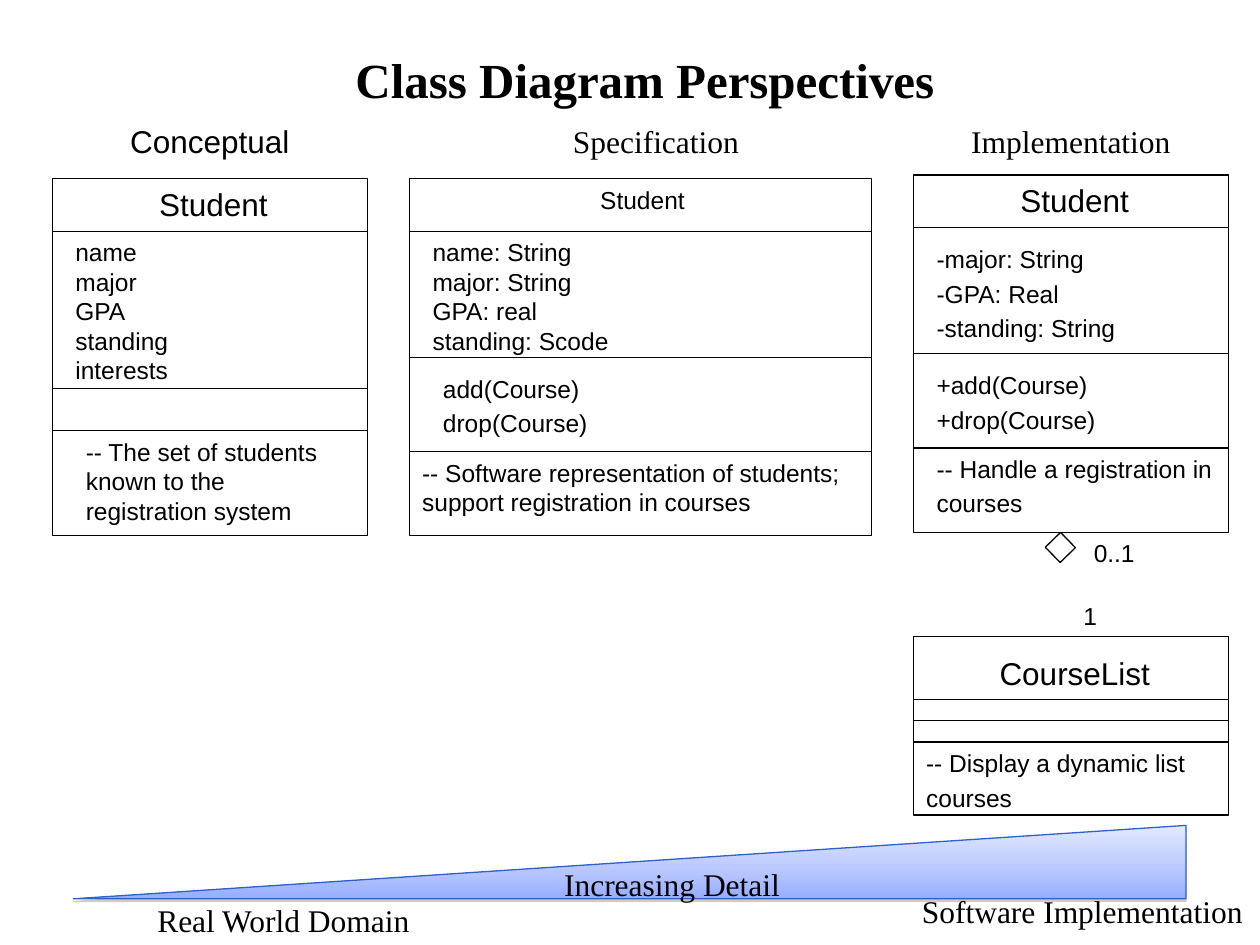
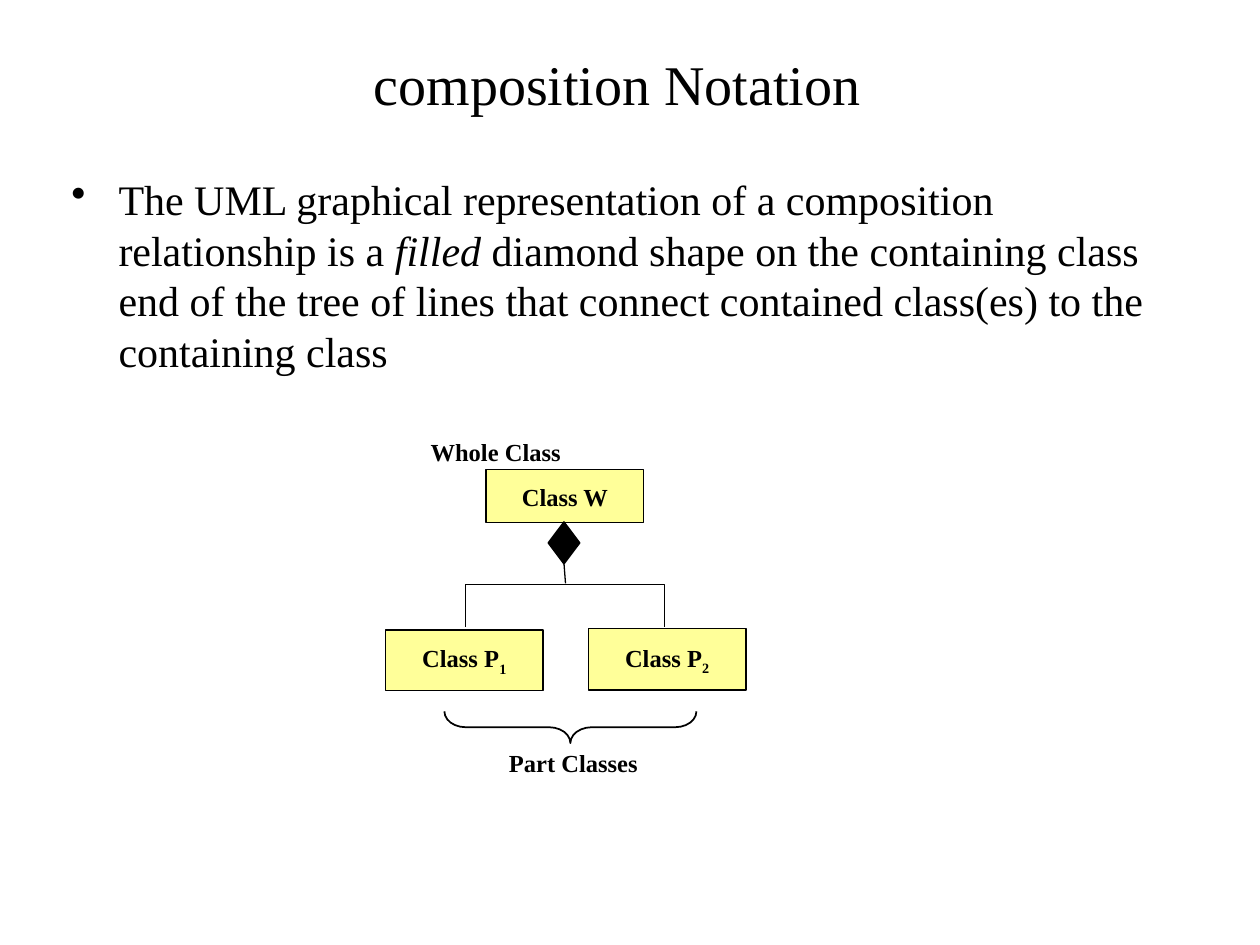
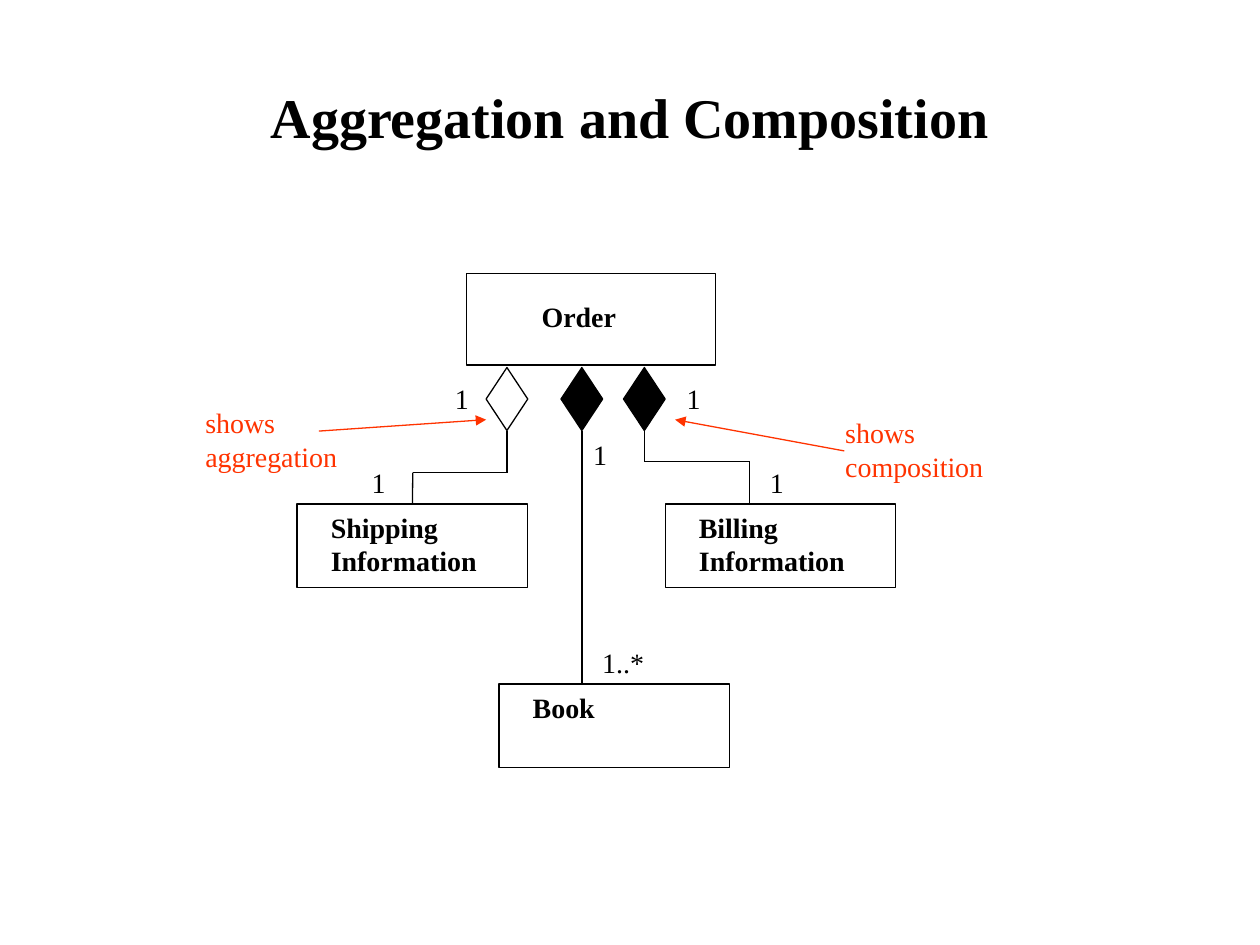
from dataclasses import dataclass
from itertools import pairwise

from lxml import etree
from pptx import Presentation
from pptx.dml.color import RGBColor as RGB
from pptx.enum.shapes import MSO_CONNECTOR as CONN, MSO_SHAPE as SHAPE
from pptx.enum.text import MSO_ANCHOR as ANCHOR, MSO_AUTO_SIZE as AUTO, PP_ALIGN as ALIGN
from pptx.oxml import parse_xml
from pptx.oxml.ns import nsdecls, qn
from pptx.util import Cm, Pt


@dataclass(frozen=True)
class Theme:
    serif: str = "Times New Roman"
    sans: str = "Arial"
    black: str = "000000"
    white: str = "FFFFFF"
    yellow: str = "FFFF99"
    red: str = "FF3300"
    wedge_line: str = "2E62CB"
    wedge_stops: tuple = ((0, "E1E8FF"), (65, "B6C5FF"), (100, "95ADFF"))
    shadow: str = "808080"
    title: int = 32
    body: int = 24
    heading: int = 18
    label: int = 16
    small: int = 14
    hairline: float = 0.75


T = Theme()
LOOSE = 2.8  # points between spaced lines in a class card

# ---- Content; all places are in centimetres ----

# Card: left, top, width, compartment heights, then texts as
# (compartment, dx, dy, width, size, space before, lines)
CARDS = [
    (1.06, 3.6, 6.35, (1.06, 3.17, 0.85, 2.12), [
        (0, 1.9, 0, 2.8, T.heading, 0, ["Student"]),
        (1, 0.21, 0, 2.48, T.small, 0, ["name", "major", "GPA", "standing", "interests"]),
        (3, 0.42, 0, 5.71, T.small, 0,
         ["-- The set of students known to the registration system"]),
    ]),
    (8.26, 3.6, 9.31, (1.06, 2.54, 1.9, 1.7), [
        (0, 3.59, 0, 3.39, T.small, 0, ["Student"]),
        (1, 0.21, 0, 4.67, T.small, 0,
         ["name: String", "major: String", "GPA: real", "standing: Scode"]),
        (2, 0.42, 0.21, 3.93, T.small, LOOSE, ["add(Course)", "drop(Course)"]),
        (3, 0, 0, 9.31, T.small, 0,
         ["-- Software representation of students; support registration in courses"]),
    ]),
    (18.42, 3.53, 6.35, (1.06, 2.54, 1.9, 1.7), [
        (0, 1.9, 0, 2.8, T.heading, 0, ["Student"]),
        (1, 0.21, 0.21, 4.24, T.small, LOOSE,
         ["-major: String", "-GPA: Real", "-standing: String"]),
        (2, 0.21, 0.21, 3.83, T.small, LOOSE, ["+add(Course)", "+drop(Course)"]),
        (3, 0.21, 0, 6.2, T.small, LOOSE, ["-- Handle a registration in", "courses"]),
    ]),
    (18.42, 12.83, 6.35, (1.27, 0.43, 0.43, 1.47), [
        (0, 1.48, 0.23, 3.65, T.heading, 0, ["CourseList"]),
        (3, 0, 0, 5.87, T.small, LOOSE, ["-- Display a dynamic list", "courses"]),
    ]),
]
CAPTIONS = [
    ("Specification", T.serif, 10.58, 2.33, 5.29, 1.27),
    ("Implementation", T.serif, 18.63, 2.33, 5.92, 1.27),
    ("Conceptual", T.sans, 1.27, 2.33, 5.92, 1.27),
    ("Increasing Detail", T.serif, 8.47, 17.32, 10.16, 0.79),
    ("Real World Domain", T.serif, 1.27, 18.03, 8.89, 0.89),
    ("Software Implementation", T.serif, 18.24, 17.86, 7.16, 1.1),
]
CARD_COUNTS = [("1", 21.59, 11.99, 0.89), ("0..1", 21.8, 10.72, 1.45)]

DEFINITION = [
    ("The UML graphical representation of a composition relationship is a ", False),
    ("filled", True),
    (" diamond shape on the containing class end of the tree of lines that connect "
     "contained class(es) to the containing class", False),
]
TREE_CLASSES = [  # name, subscript, top-left, height
    ("Class W", "", 9.8, 9.47, 1.07),
    ("Class P", "1", 7.77, 12.7, 1.22),
    ("Class P", "2", 11.86, 12.67, 1.24),
]
TREE_LABELS = [("Whole Class", 8.43, 8.69, 3.22), ("Part Classes", 10.01, 14.96, 3.2)]
BRACKET = [(9.38, 12.64), (9.38, 11.79), (13.4, 11.79), (13.4, 12.64)]

ORDER_CLASSES = [  # lines, left, top, width, height, text dx, text dy
    (["Order"], 9.4, 5.51, 5.03, 1.85, 1.27, 0.41),
    (["Billing", "Information"], 13.41, 10.16, 4.65, 1.69, 0.43, 0),
    (["Shipping", "Information"], 5.99, 10.16, 4.65, 1.69, 0.43, 0),
    (["Book"], 10.06, 13.79, 4.65, 1.69, 0.43, 0),
]
RELATIONS = [  # diamond fill, route from the diamond, class joined at its top middle
    (T.white, [(10.22, 8.68), (10.22, 9.53), (8.32, 9.53), (8.32, 10.16)], "Shipping"),
    (T.black, [(12.99, 8.68), (12.99, 9.31), (15.11, 9.31), (15.11, 10.16)], None),
    (T.black, [(11.73, 8.68), (11.73, 13.76)], None),
]
ORDER_COUNTS = [
    ("1", 8.92, 7.57), ("1", 7.24, 9.27), ("1", 13.59, 7.57),
    ("1", 15.27, 9.27), ("1", 11.71, 8.69), ("1..*", 11.89, 12.88),
]
REMARKS = [  # lines, left, top, width, arrow start, arrow end
    (["shows", "aggregation"], 3.89, 8.05, 3.28, (6.43, 8.69), (9.8, 8.46)),
    (["shows", "composition"], 16.79, 8.26, 3.4, (17.02, 9.09), (13.61, 8.46)),
]


# ---- Helpers ----

def style(p, size, font=T.serif, color=T.black, bold=False):
    p.font.size, p.font.name, p.font.bold = Pt(size), font, bold
    p.font.color.rgb = RGB.from_string(color)


def add_text(s, lines, x, y, w, h=None, size=T.label, font=T.serif, color=T.black,
             bold=False, gap=0, align=ALIGN.LEFT, anchor=ANCHOR.TOP):
    """Place lines in a box; without a height the box fits its text."""
    fitted = h or 0.25 + len(lines) * size * 0.043
    sp = s.shapes.add_textbox(Cm(x), Cm(y), Cm(w), Cm(fitted))
    tf = sp.text_frame
    tf.word_wrap = True
    tf.auto_size = AUTO.NONE if h else AUTO.SHAPE_TO_FIT_TEXT
    tf.vertical_anchor = anchor
    for i, line in enumerate(lines):
        p = tf.paragraphs[0] if i == 0 else tf.add_paragraph()
        p.add_run().text = line
        p.alignment = align
        if i and gap:
            p.space_before = Pt(gap)
        style(p, size, font, color, bold)
    return sp


def add_title(s, text, x, y, w, h, size=T.title, bold=True):
    add_text(s, [text], x, y, w, h, size, bold=bold, align=ALIGN.CENTER, anchor=ANCHOR.MIDDLE)


def outline(sp, fill=None, line=T.black, width=T.hairline):
    sp.shadow.inherit = False
    if fill:
        sp.fill.solid()
        sp.fill.fore_color.rgb = RGB.from_string(fill)
    else:
        sp.fill.background()
    sp.line.color.rgb = RGB.from_string(line)
    sp.line.width = Pt(width)
    return sp


def add_shape(s, kind, x, y, w, h, fill=None, **line):
    return outline(s.shapes.add_shape(kind, Cm(x), Cm(y), Cm(w), Cm(h)), fill, **line)


def add_line(s, start, end, color=T.black, arrow=False):
    c = s.shapes.add_connector(CONN.STRAIGHT, *(Cm(v) for v in (*start, *end)))
    c.line.color.rgb = RGB.from_string(color)
    c.line.width = Pt(T.hairline)
    if arrow:
        etree.SubElement(c.line._get_or_add_ln(), qn("a:tailEnd"), type="triangle")
    etree.SubElement(c._element.spPr, qn("a:effectLst"))
    return c


def add_card(s, x, y, w, heights, texts):
    add_shape(s, SHAPE.RECTANGLE, x, y, w, sum(heights), T.white)
    tops = [y + sum(heights[:i]) for i in range(len(heights))]
    for top in tops[1:]:
        add_line(s, (x, top), (x + w, top))
    for part, dx, dy, width, size, gap, lines in texts:
        add_text(s, lines, x + dx, tops[part] + dy, width, size=size, font=T.sans, gap=gap)


def add_wedge(s, x, y, w, h):
    """Right triangle rising to the right, with gradient and soft shadow."""
    sp = add_shape(s, SHAPE.RIGHT_TRIANGLE, x, y, w, h, T.white, line=T.wedge_line)
    pr = sp._element.spPr
    pr.find(qn("a:xfrm")).set("flipH", "1")
    stops = "".join(f'<a:gs pos="{pos * 1000}"><a:srgbClr val="{color}"/></a:gs>'
                    for pos, color in T.wedge_stops)
    pr.replace(pr.find(qn("a:solidFill")), parse_xml(
        f'<a:gradFill {nsdecls("a")} rotWithShape="1"><a:gsLst>{stops}</a:gsLst>'
        '<a:lin ang="5400000" scaled="0"/></a:gradFill>'))
    pr.find(qn("a:effectLst")).append(parse_xml(
        f'<a:outerShdw {nsdecls("a")} blurRad="0" dist="{Pt(1.6)}" dir="5400000" '
        f'rotWithShape="0"><a:srgbClr val="{T.shadow}"><a:alpha val="38000"/>'
        '</a:srgbClr></a:outerShdw>'))


# ---- Slides ----

def build_perspectives(s):
    for card in CARDS:
        add_card(s, *card)

    # Aggregation between Student and CourseList
    add_line(s, (21.38, 10.72), (21.38, 12.83), T.white)
    add_shape(s, SHAPE.RECTANGLE, 21.16, 10.82, 0.43, 0.43, T.white).rotation = 225.8
    for text, x, y, w in CARD_COUNTS:
        add_text(s, [text], x, y, w, size=T.small, font=T.sans)

    # Detail scale and captions
    add_wedge(s, 1.48, 16.64, 22.43, 1.48)
    for text, font, x, y, w, h in CAPTIONS:
        add_text(s, [text], x, y, w, h, T.heading, font, align=ALIGN.CENTER)
    add_title(s, "Class Diagram Perspectives", 1.57, 0, 22.86, 3.18, size=28)


def build_notation(s):
    # Definition with a bullet
    sp = add_text(s, [], 1.19, 3.38, 22.86, 12.57)
    p = sp.text_frame.paragraphs[0]
    pr = p._p.get_or_add_pPr()
    pr.set("marL", str(Cm(0.95)))
    pr.set("indent", str(-Cm(0.95)))
    etree.SubElement(pr, qn("a:buChar"), char="•")
    style(p, T.body)
    for text, italic in DEFINITION:
        r = p.add_run()
        r.text, r.font.italic = text, italic
    add_title(s, "composition Notation", 1.27, 0.76, 22.35, 1.83, bold=False)

    # Whole and part classes
    for name, subscript, x, y, h in TREE_CLASSES:
        tf = add_shape(s, SHAPE.RECTANGLE, x, y, 3.18, h, T.yellow).text_frame
        tf.vertical_anchor, tf.word_wrap = ANCHOR.MIDDLE, False
        p = tf.paragraphs[0]
        p.alignment = ALIGN.CENTER
        style(p, T.small, bold=True)
        p.add_run().text = name
        if subscript:
            r = p.add_run()
            r.text = subscript
            r._r.get_or_add_rPr().set("baseline", "-25000")

    # Tree of lines, diamond and brace
    start, *rest = [(Cm(x), Cm(y)) for x, y in BRACKET]
    path_builder = s.shapes.build_freeform(*start)
    path_builder.add_line_segments(rest, close=False)
    outline(path_builder.convert_to_shape())
    diamond = add_shape(s, SHAPE.DIAMOND, 11.05, 10.52, 0.64, 0.85, T.black)
    add_line(s, (11.37, 11.37), (11.4, 11.76)).begin_connect(diamond, 2)
    brace = add_shape(s, SHAPE.LEFT_BRACE, 11.18, 12.12, 0.64, 5.08, width=1)
    brace.rotation = 270
    brace.adjustments[0] = 0.67
    for text, x, y, w in TREE_LABELS:
        add_text(s, [text], x, y, w, size=T.small, bold=True)


def build_order(s):
    add_title(s, "Aggregation and Composition", 1.27, 0.76, 22.86, 3.18)
    boxes = {}
    for lines, x, y, w, h, dx, dy in ORDER_CLASSES:
        boxes[lines[0]] = add_shape(s, SHAPE.RECTANGLE, x, y, w, h)
        add_text(s, lines, x + dx, y + dy, 4.01 if dy == 0 else 2.13, bold=True)

    # Diamonds with their routes
    for fill, route, target in RELATIONS:
        x, bottom = route[0]
        diamond = add_shape(s, SHAPE.DIAMOND, x - 0.42, bottom - 1.27, 0.84, 1.27, fill)
        legs = [add_line(s, *leg) for leg in pairwise(route)]
        legs[0].begin_connect(diamond, 2)
        if target:
            legs[-1].end_connect(boxes[target], 0)

    # Multiplicities and remarks
    for text, x, y in ORDER_COUNTS:
        add_text(s, [text], x, y, 0.89 if len(text) == 1 else 1.45)
    for lines, x, y, w, start, end in REMARKS:
        add_text(s, lines, x, y, w, color=T.red)
        add_line(s, start, end, T.red, arrow=True)


def main():
    prs = Presentation()
    prs.slide_width, prs.slide_height = Cm(25.4), Cm(19.05)
    for build in (build_perspectives, build_notation, build_order):
        build(prs.slides.add_slide(prs.slide_layouts[6]))
    prs.save("out.pptx")


if __name__ == "__main__":
    main()
